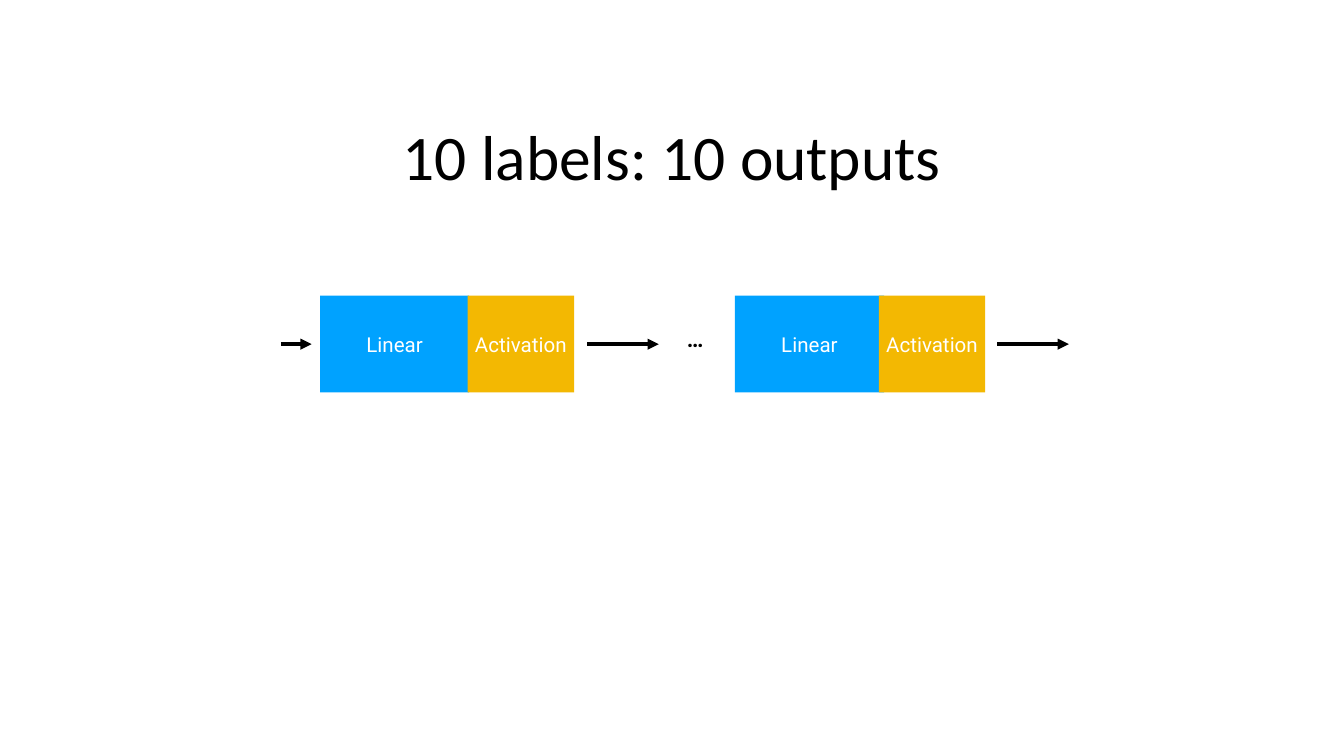
from typing import NamedTuple

from lxml.etree import SubElement
from pptx import Presentation
from pptx.dml.color import RGBColor
from pptx.enum.shapes import MSO_CONNECTOR as Link, MSO_SHAPE as Shape
from pptx.enum.text import MSO_ANCHOR as Anchor, PP_ALIGN as Align
from pptx.oxml.ns import qn
from pptx.util import Cm, Pt

COLORS = {"black": "000000", "white": "FFFFFF", "blue": "00A2FF", "gold": "F3B802"}
TOP, HIGH = 5.59, 1.83
MID = TOP + HIGH / 2


class Block(NamedTuple):
    text: str
    left: float
    width: float
    fill: str


class Arrow(NamedTuple):
    start: float
    end: float


def color(name: str) -> RGBColor:
    return RGBColor.from_string(COLORS[name])


def write(shape, text: str, *, size: float, font: str = "Roboto",
          ink: str = "white", bold: bool = False, inset: float = 0.08,
          wrap: bool = True) -> None:
    frame = shape.text_frame
    frame.word_wrap = wrap
    frame.vertical_anchor = Anchor.MIDDLE
    frame.margin_left = frame.margin_right = Cm(inset)
    frame.margin_top = frame.margin_bottom = Cm(inset)
    para = frame.paragraphs[0]
    para.alignment = Align.CENTER
    run = para.add_run()
    run.text = text
    run.font.name = font
    run.font.size = Pt(size)
    run.font.bold = bold
    run.font.color.rgb = color(ink)


def draw_block(slide, block: Block) -> None:
    rect = slide.shapes.add_shape(Shape.RECTANGLE, Cm(block.left), Cm(TOP),
                                  Cm(block.width), Cm(HIGH))
    rect.shadow.inherit = False
    rect.fill.solid()
    rect.fill.fore_color.rgb = color(block.fill)
    rect.line.fill.background()
    write(rect, block.text, size=11)


def draw_arrow(slide, arrow: Arrow) -> None:
    line = slide.shapes.add_connector(Link.STRAIGHT, Cm(arrow.start), Cm(MID),
                                      Cm(arrow.end), Cm(MID))
    line.line.color.rgb = color("black")
    line.line.width = Pt(2)
    SubElement(line.line._get_or_add_ln(), qn("a:tailEnd"), type="triangle")
    SubElement(line._element.spPr, qn("a:effectLst"))


def main() -> None:
    deck = Presentation()
    deck.slide_width, deck.slide_height = Cm(25.4), Cm(14.29)
    slide = deck.slides.add_slide(deck.slide_layouts[5])

    # Title
    title = slide.shapes.title
    title.left, title.top = Cm(1.19), Cm(1.6)
    title.width, title.height = Cm(23.01), Cm(2.67)
    write(title, "10 labels: 10 outputs", size=34, font="Calibri",
          ink="black", inset=0.05)

    # Layers: each linear block is followed by its activation
    for left, act in ((6.05, 8.84), (13.89, 16.61)):
        draw_block(slide, Block("Linear", left, 2.82, "blue"))
        draw_block(slide, Block("Activation", act, 2.01, "gold"))

    # Flow through the layers
    for arrow in (Arrow(5.31, 5.89), Arrow(11.1, 12.45), Arrow(18.85, 20.2)):
        draw_arrow(slide, arrow)

    # Layers left out
    dots = slide.shapes.add_textbox(Cm(12.85), Cm(6.07), Cm(0.58), Cm(0.66))
    write(dots, "…", size=12, ink="black", bold=True, wrap=False)

    deck.save("out.pptx")


if __name__ == "__main__":
    main()
